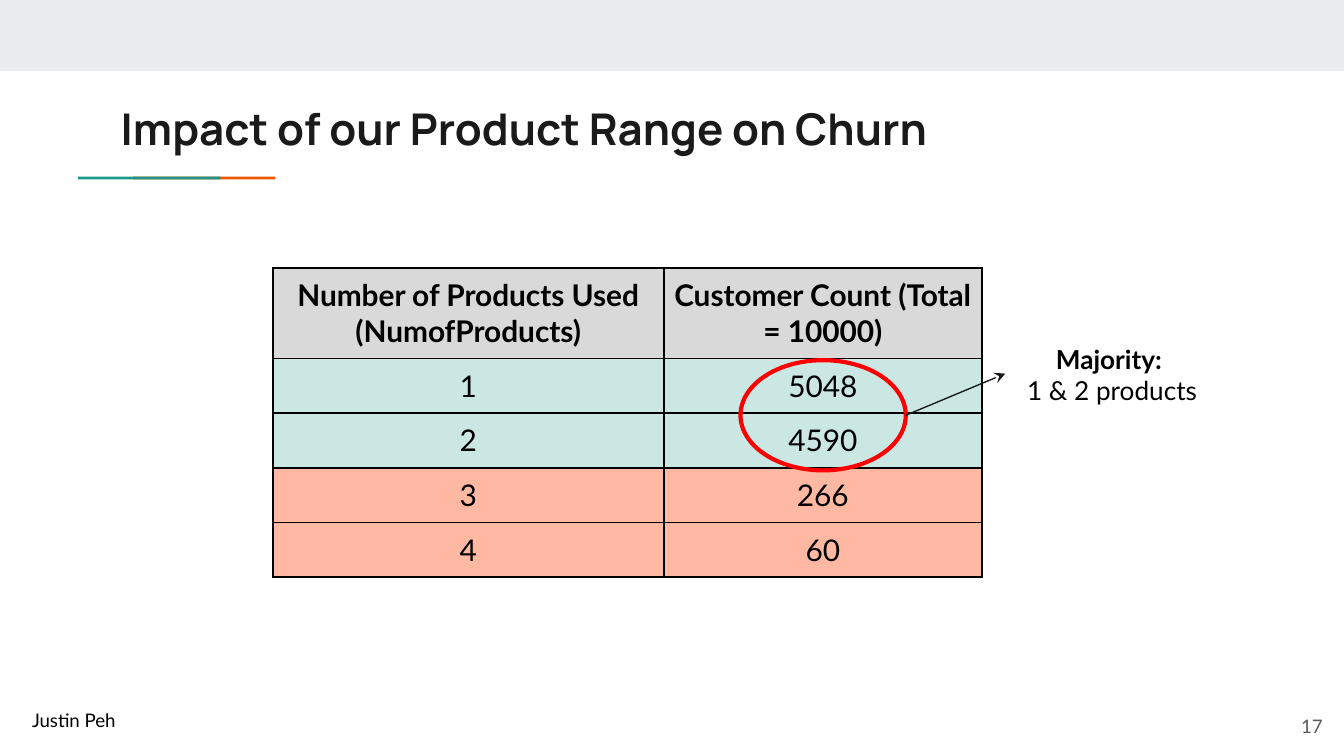
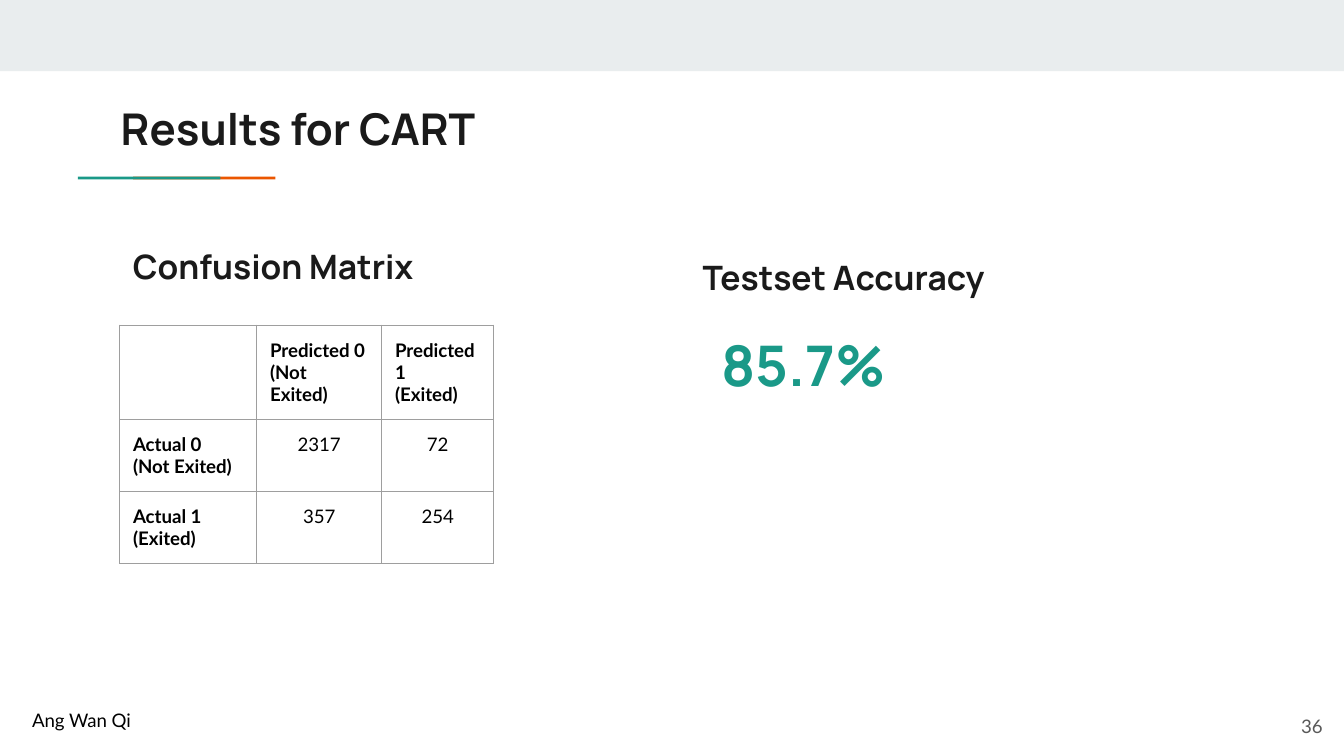
from dataclasses import dataclass

from lxml.etree import SubElement
from pptx import Presentation
from pptx.dml.color import RGBColor
from pptx.enum.shapes import MSO_CONNECTOR, MSO_SHAPE
from pptx.enum.text import MSO_ANCHOR, MSO_AUTO_SIZE, PP_ALIGN
from pptx.oxml.ns import qn
from pptx.slide import Slide
from pptx.table import _Cell
from pptx.text.text import TextFrame
from pptx.util import Emu, Pt

# Scale: 200 px to the inch
EMU_PER_PX = 4572
SLIDE_WIDTH, SLIDE_HEIGHT = 2000, 1125
TEXT_INSET = 20

# Colours
BAND_GREY = RGBColor(0xE9, 0xED, 0xEE)
ORANGE = RGBColor(0xEB, 0x56, 0x00)
TEAL = RGBColor(0x1A, 0x99, 0x88)
INK = RGBColor(0x1A, 0x1A, 0x1A)
BLACK = RGBColor(0x00, 0x00, 0x00)
NUMBER_GREY = RGBColor(0x59, 0x59, 0x59)
HEADER_GREY = RGBColor(0xD9, 0xD9, 0xD9)
SALMON = RGBColor(0xFF, 0xB8, 0xA2)
GRID_GREY = RGBColor(0x9E, 0x9E, 0x9E)
RED = RGBColor(0xFF, 0x00, 0x00)


@dataclass(frozen=True)
class Box:
    left: int
    top: int
    width: int
    height: int

    def emu(self) -> tuple[Emu, ...]:
        return tuple(px(side) for side in (self.left, self.top, self.width, self.height))


@dataclass(frozen=True)
class TextStyle:
    font: str
    size: float
    color: RGBColor
    bold: bool = False
    align: PP_ALIGN = PP_ALIGN.LEFT
    anchor: MSO_ANCHOR = MSO_ANCHOR.TOP


@dataclass(frozen=True)
class CellStyle:
    text: TextStyle
    fill: RGBColor | None = None
    opacity: int = 100


@dataclass(frozen=True)
class Grid:
    left: int
    top: int
    columns: list[int]
    rows: list[int]
    inset: int
    border_color: RGBColor
    border_width: float


# Text styles
TITLE = TextStyle("Manrope", 23.4, INK, bold=True)
HEADING = TextStyle("Manrope", 18, INK, bold=True)
BIG_FIGURE = TextStyle("Manrope", 30, TEAL, bold=True)
AUTHOR = TextStyle("Lato", 10, BLACK)
PAGE_NUMBER = TextStyle("Lato", 10, NUMBER_GREY, align=PP_ALIGN.RIGHT, anchor=MSO_ANCHOR.MIDDLE)
CALLOUT = TextStyle("Lato", 14, BLACK, align=PP_ALIGN.CENTER, anchor=MSO_ANCHOR.MIDDLE)
COUNT_HEADER = TextStyle("Lato", 16, BLACK, bold=True, align=PP_ALIGN.CENTER)
COUNT_VALUE = TextStyle("Lato", 16, BLACK, align=PP_ALIGN.CENTER)
MATRIX_LABEL = TextStyle("Lato", 10, BLACK, bold=True)
MATRIX_VALUE = TextStyle("Lato", 10, BLACK, align=PP_ALIGN.CENTER)

# Cell styles
HEADER_CELL = CellStyle(COUNT_HEADER, HEADER_GREY)
MAJORITY_CELL = CellStyle(COUNT_VALUE, TEAL, opacity=23)
MINORITY_CELL = CellStyle(COUNT_VALUE, SALMON)
LABEL_CELL = CellStyle(MATRIX_LABEL)
VALUE_CELL = CellStyle(MATRIX_VALUE)


def px(length: int) -> Emu:
    return Emu(length * EMU_PER_PX)


def write_text(frame: TextFrame, text: str, style: TextStyle) -> None:
    """Write one paragraph for each line of text."""
    for index, line in enumerate(text.split("\n")):
        paragraph = frame.paragraphs[0] if index == 0 else frame.add_paragraph()
        paragraph.text = line
        paragraph.alignment = style.align
        paragraph.font.name = style.font
        paragraph.font.size = Pt(style.size)
        paragraph.font.bold = style.bold
        paragraph.font.color.rgb = style.color


def add_text(slide: Slide, box: Box, text: str, style: TextStyle) -> TextFrame:
    frame = slide.shapes.add_textbox(*box.emu()).text_frame
    frame.word_wrap = True
    frame.vertical_anchor = style.anchor
    frame.margin_left = frame.margin_right = px(TEXT_INSET)
    frame.margin_top = frame.margin_bottom = px(TEXT_INSET)
    write_text(frame, text, style)
    return frame


def add_bar(slide: Slide, box: Box, color: RGBColor) -> None:
    shape = slide.shapes.add_shape(MSO_SHAPE.RECTANGLE, *box.emu())
    shape.shadow.inherit = False
    shape.fill.solid()
    shape.fill.fore_color.rgb = color
    shape.line.fill.background()


def add_ring(slide: Slide, box: Box) -> None:
    shape = slide.shapes.add_shape(MSO_SHAPE.OVAL, *box.emu())
    shape.shadow.inherit = False
    shape.fill.background()
    shape.line.color.rgb = RED
    shape.line.width = Pt(2.25)


def add_arrow(slide: Slide, tip: tuple[int, int], tail: tuple[int, int]) -> None:
    points = [px(length) for length in (*tip, *tail)]
    connector = slide.shapes.add_connector(MSO_CONNECTOR.STRAIGHT, *points)
    connector.line.color.rgb = INK
    connector.line.width = Pt(0.75)
    SubElement(connector.line._get_or_add_ln(), qn("a:headEnd"), type="stealth")
    SubElement(connector._element.spPr, qn("a:effectLst"))


def style_cell(cell: _Cell, grid: Grid, style: CellStyle) -> None:
    properties = cell._tc.get_or_add_tcPr()
    for side in ("a:lnL", "a:lnR", "a:lnT", "a:lnB"):
        line = SubElement(properties, qn(side), w=str(Pt(grid.border_width)))
        line_fill = SubElement(line, qn("a:solidFill"))
        SubElement(line_fill, qn("a:srgbClr"), val=str(grid.border_color))
    cell.margin_left = cell.margin_right = px(grid.inset)
    cell.margin_top = cell.margin_bottom = px(grid.inset)
    if style.fill is None:
        cell.fill.background()
        return
    cell.fill.solid()
    cell.fill.fore_color.rgb = style.fill
    if style.opacity < 100:
        color = properties.find(qn("a:solidFill")).find(qn("a:srgbClr"))
        SubElement(color, qn("a:alpha"), val=str(style.opacity * 1000))


def add_grid(slide: Slide, grid: Grid, cells: list[list[tuple[str, CellStyle]]]) -> None:
    box = Box(grid.left, grid.top, sum(grid.columns), sum(grid.rows))
    table = slide.shapes.add_table(len(grid.rows), len(grid.columns), *box.emu()).table
    table.first_row = table.horz_banding = False
    for column, width in zip(table.columns, grid.columns):
        column.width = px(width)
    for row, height, contents in zip(table.rows, grid.rows, cells):
        row.height = px(height)
        for cell, (text, style) in zip(row.cells, contents):
            style_cell(cell, grid, style)
            write_text(cell.text_frame, text, style.text)


def add_base_slide(
    presentation: Presentation, title: str, author: str, author_width: int, number: int
) -> Slide:
    """Add a slide with the band, title, accent rule and footer."""
    slide = presentation.slides.add_slide(presentation.slide_layouts[6])
    add_bar(slide, Box(0, 0, SLIDE_WIDTH, 106), BAND_GREY)
    for left, color in ((198, ORANGE), (116, TEAL)):
        add_bar(slide, Box(left, 263, 212, 4), color)
    add_text(slide, Box(160, 132, 1682, 118), title, TITLE)
    add_text(slide, Box(1868, 1038, 120, 86), str(number), PAGE_NUMBER)
    author_frame = add_text(slide, Box(28, 1038, author_width, 74), author, AUTHOR)
    author_frame.auto_size = MSO_AUTO_SIZE.SHAPE_TO_FIT_TEXT
    return slide


def build_product_slide(presentation: Presentation) -> None:
    slide = add_base_slide(
        presentation, "Impact of our Product Range on Churn", "Justin Peh", 174, 17
    )

    # Customer counts
    headers = ("Number of Products Used (NumofProducts)", "Customer Count (Total = 10000)")
    counts = [5048, 4590, 266, 60]
    cells = [[(header, HEADER_CELL) for header in headers]]
    for products, count in enumerate(counts, start=1):
        style = MAJORITY_CELL if products <= 2 else MINORITY_CELL
        cells.append([(str(products), style), (str(count), style)])
    grid = Grid(406, 399, [582, 473], [134] + [81] * len(counts), 14, BLACK, 1)
    add_grid(slide, grid, cells)

    # Majority callout
    callout = add_text(slide, Box(1496, 482, 318, 150), "Majority: \n1 & 2 products", CALLOUT)
    callout.paragraphs[0].font.bold = True
    add_ring(slide, Box(1102, 536, 246, 164))
    add_arrow(slide, tip=(1496, 556), tail=(1348, 618))


def build_cart_slide(presentation: Presentation) -> None:
    slide = add_base_slide(presentation, "Results for CART", "Ang Wan Qi", 226, 36)

    # Confusion matrix
    add_text(slide, Box(178, 346, 556, 110), "Confusion Matrix", HEADING)
    headers = ("", "Predicted 0\n(Not Exited)", "Predicted 1\n(Exited)")
    results = {"Actual 0\n(Not Exited)": (2317, 72), "Actual 1\n(Exited)": (357, 254)}
    cells = [[(header, LABEL_CELL) for header in headers]]
    for label, counts in results.items():
        cells.append([(label, LABEL_CELL)] + [(str(count), VALUE_CELL) for count in counts])
    grid = Grid(178, 484, [204, 186, 167], [140, 107, 107], 20, GRID_GREY, 0.75)
    add_grid(slide, grid, cells)

    # Accuracy
    add_text(slide, Box(1026, 362, 556, 110), "Testset Accuracy", HEADING)
    add_text(slide, Box(1054, 472, 556, 150), "85.7%", BIG_FIGURE)


def main() -> None:
    presentation = Presentation()
    presentation.slide_width = px(SLIDE_WIDTH)
    presentation.slide_height = px(SLIDE_HEIGHT)
    build_product_slide(presentation)
    build_cart_slide(presentation)
    presentation.save("out.pptx")


if __name__ == "__main__":
    main()
